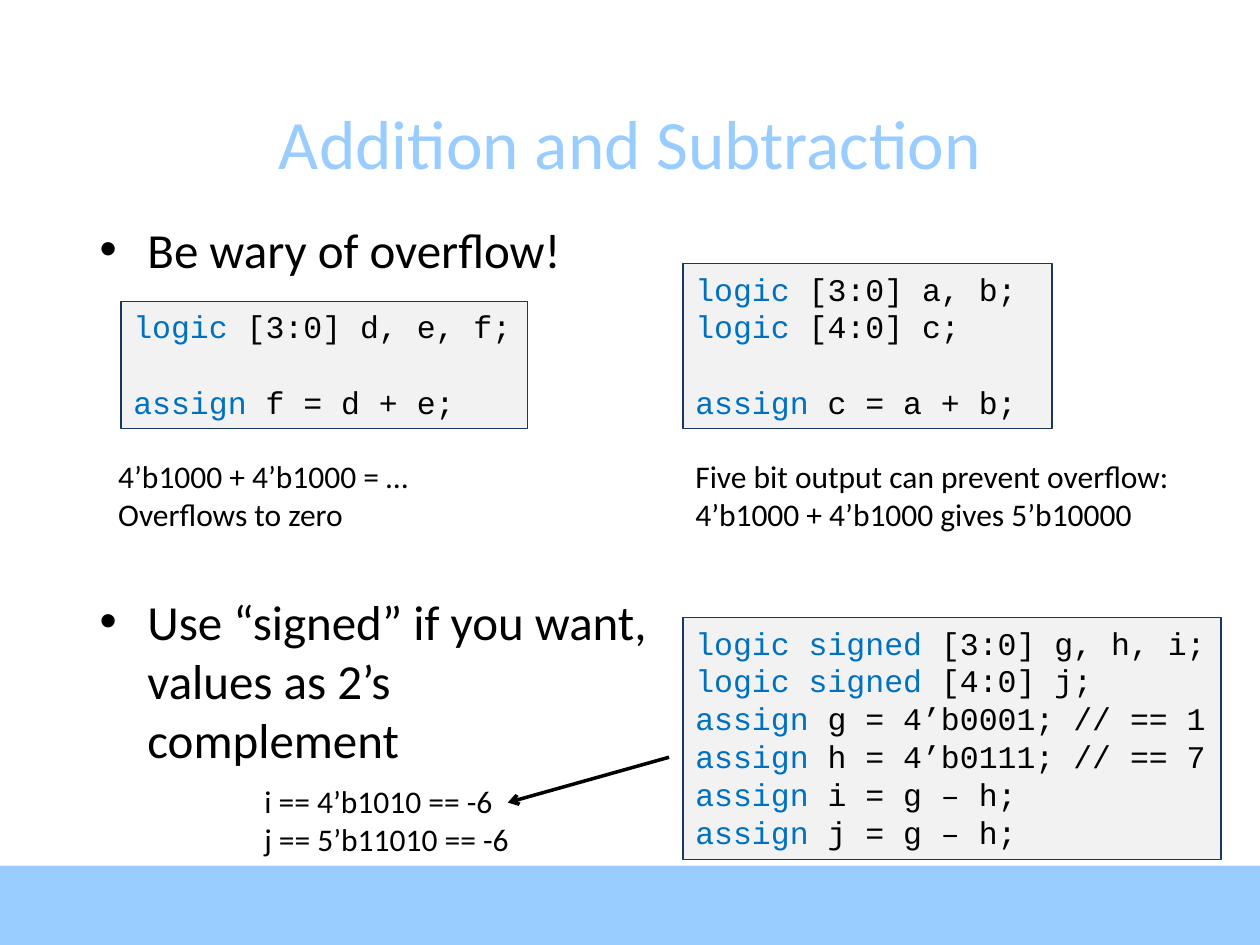
from dataclasses import dataclass
from lxml.etree import SubElement
from pptx import Presentation
from pptx.dml.color import RGBColor
from pptx.enum.shapes import MSO_CONNECTOR, MSO_SHAPE
from pptx.enum.text import MSO_ANCHOR, MSO_AUTO_SIZE, PP_ALIGN
from pptx.oxml.ns import qn
from pptx.util import Inches, Pt


@dataclass(frozen=True)
class Theme:
    sky: str = "99CCFF"
    ink: str = "000000"
    keyword: str = "0070C0"
    panel: str = "F2F2F2"
    border: str = "17375E"
    prose: str = "Calibri"
    mono: str = "Courier New"
    title_size: float = 39.6
    bullet_size: float = 28
    text_size: float = 18
    listing_gap: float = 21.6


class Deck:
    columns, rows = 100, 75

    def __init__(self, theme):
        self.theme = theme
        self.file = Presentation()
        self.file.slide_width, self.file.slide_height = Inches(10), Inches(7.5)
        self.slide = self.file.slides.add_slide(self.file.slide_layouts[1])

    def x(self, column):
        return round(self.file.slide_width * column / self.columns)

    def y(self, row):
        return round(self.file.slide_height * row / self.rows)

    def box(self, column, row, width, height):
        return self.x(column), self.y(row), self.x(width), self.y(height)

    def place(self, holder, area):
        holder.left, holder.top, holder.width, holder.height = self.box(*area)

    def fill_text(self, frame, lines, size, font, gaps=None, align=PP_ALIGN.LEFT):
        for index, runs in enumerate(lines):
            paragraph = frame.paragraphs[0] if index == 0 else frame.add_paragraph()
            paragraph.alignment = align
            paragraph.space_before = Pt((gaps or {}).get(index, 0))
            for words, color in runs:
                run = paragraph.add_run()
                run.text = words
                run.font.size = Pt(size)
                run.font.name = font
                run.font.color.rgb = RGBColor.from_string(color)

    def rectangle(self, area, fill):
        shape = self.slide.shapes.add_shape(MSO_SHAPE.RECTANGLE, *self.box(*area))
        shape.shadow.inherit = False
        shape.fill.solid()
        shape.fill.fore_color.rgb = RGBColor.from_string(fill)
        return shape

    def footer(self, *area):
        band = self.rectangle(area, self.theme.sky)
        band.line.fill.background()
        self.slide.shapes._spTree.insert(2, band._element)

    def title(self, words, *area):
        heading = self.slide.shapes.title
        self.place(heading, area)
        heading.text_frame.vertical_anchor = MSO_ANCHOR.MIDDLE
        self.fill_text(heading.text_frame, [[(words, self.theme.sky)]],
                       self.theme.title_size, self.theme.prose, align=PP_ALIGN.CENTER)

    def bullets(self, points, gaps, *area):
        body = self.slide.placeholders[1]
        self.place(body, area)
        self.fill_text(body.text_frame, [[(point, self.theme.ink)] for point in points],
                       self.theme.bullet_size, self.theme.prose, gaps)
        for paragraph in body.text_frame.paragraphs:
            properties = paragraph._p.get_or_add_pPr()
            properties.set("marL", str(Inches(0.38)))
            properties.set("indent", str(-Inches(0.38)))

    def listing(self, lines, *area, gap_at=None, wrap=False):
        panel = self.rectangle(area, self.theme.panel)
        panel.line.color.rgb = RGBColor.from_string(self.theme.border)
        panel.line.width = Pt(0.75)
        frame = panel.text_frame
        frame.word_wrap = wrap
        frame.auto_size = MSO_AUTO_SIZE.NONE
        frame.vertical_anchor = MSO_ANCHOR.TOP
        colored = [[(keyword, self.theme.keyword), (rest, self.theme.ink)]
                   for keyword, rest in lines]
        self.fill_text(frame, colored, self.theme.text_size, self.theme.mono,
                       {gap_at: self.theme.listing_gap})

    def note(self, lines, *area):
        frame = self.slide.shapes.add_textbox(*self.box(*area)).text_frame
        frame.word_wrap = False
        self.fill_text(frame, [[(line, self.theme.ink)] for line in lines],
                       self.theme.text_size, self.theme.prose)

    def arrow(self, start, end):
        pointer = self.slide.shapes.add_connector(
            MSO_CONNECTOR.STRAIGHT, self.x(start[0]), self.y(start[1]),
            self.x(end[0]), self.y(end[1]))
        pointer.line.color.rgb = RGBColor.from_string(self.theme.ink)
        pointer.line.width = Pt(2)
        SubElement(pointer.line._get_or_add_ln(), qn("a:tailEnd"), type="arrow")
        SubElement(pointer._element.spPr, qn("a:effectLst"))


deck = Deck(Theme())
left, right = 8.4, 54.2

deck.footer(0, 68.7, 100, 6.3)
deck.title("Addition and Subtraction", 6.9, 7.4, 86.2, 7.7)
deck.bullets(["Be wary of overflow!",
              "Use “signed” if you want, values as 2’s complement"],
             {1: 179}, 6.9, 16.9, 45.5, 50.7)

deck.listing([("logic ", "[3:0] a, b;"), ("logic ", "[4:0] c;"),
              ("assign ", "c = a + b;")],
             right, 20.9, 29.3, 13.1, gap_at=2, wrap=True)
deck.listing([("logic ", "[3:0] d, e, f;"), ("assign ", "f = d + e;")],
             9.6, 23.9, 32.3, 10.1, gap_at=1)
deck.note(["4’b1000 + 4’b1000 = …", "Overflows to zero"], left, 35.8, 25.3, 7.1)
deck.note(["Five bit output can prevent overflow:",
           "4’b1000 + 4’b1000 gives 5’b10000"], right, 35.8, 40.1, 7.1)

deck.listing([("logic signed", " [3:0] g, h, i;"), ("logic signed", " [4:0] j;"),
              ("assign", " g = 4’b0001; // == 1"), ("assign", " h = 4’b0111; // == 7"),
              ("assign", " i = g – h;"), ("assign ", "j = g – h;")],
             right, 49, 42.7, 19.2)
deck.note(["i == 4’b1010 == -6", "j == 5’b11010 == -6"], 20, 61.6, 21.6, 7.1)
deck.arrow((53.1, 60.1), (40.3, 63.7))

deck.file.save("out.pptx")
